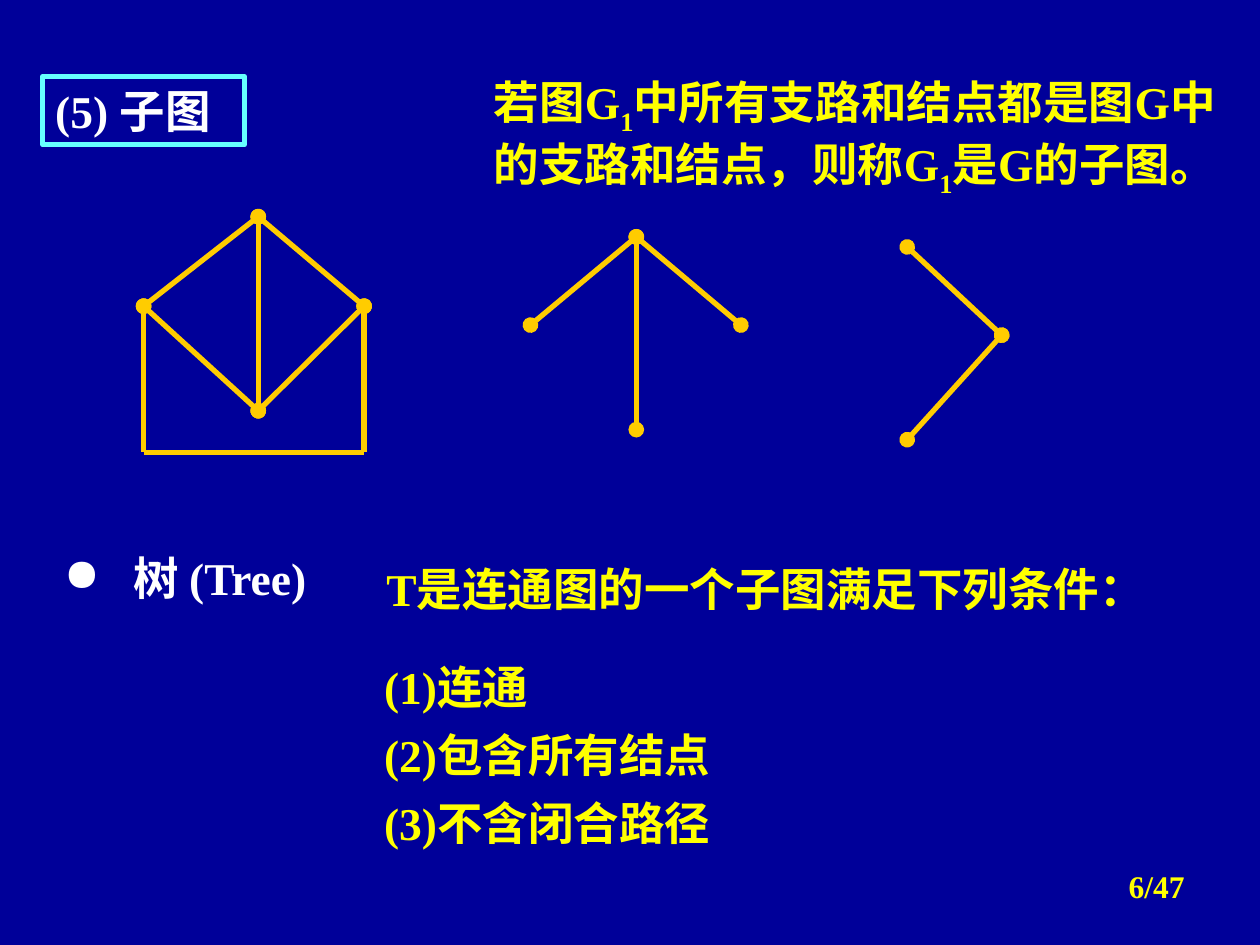
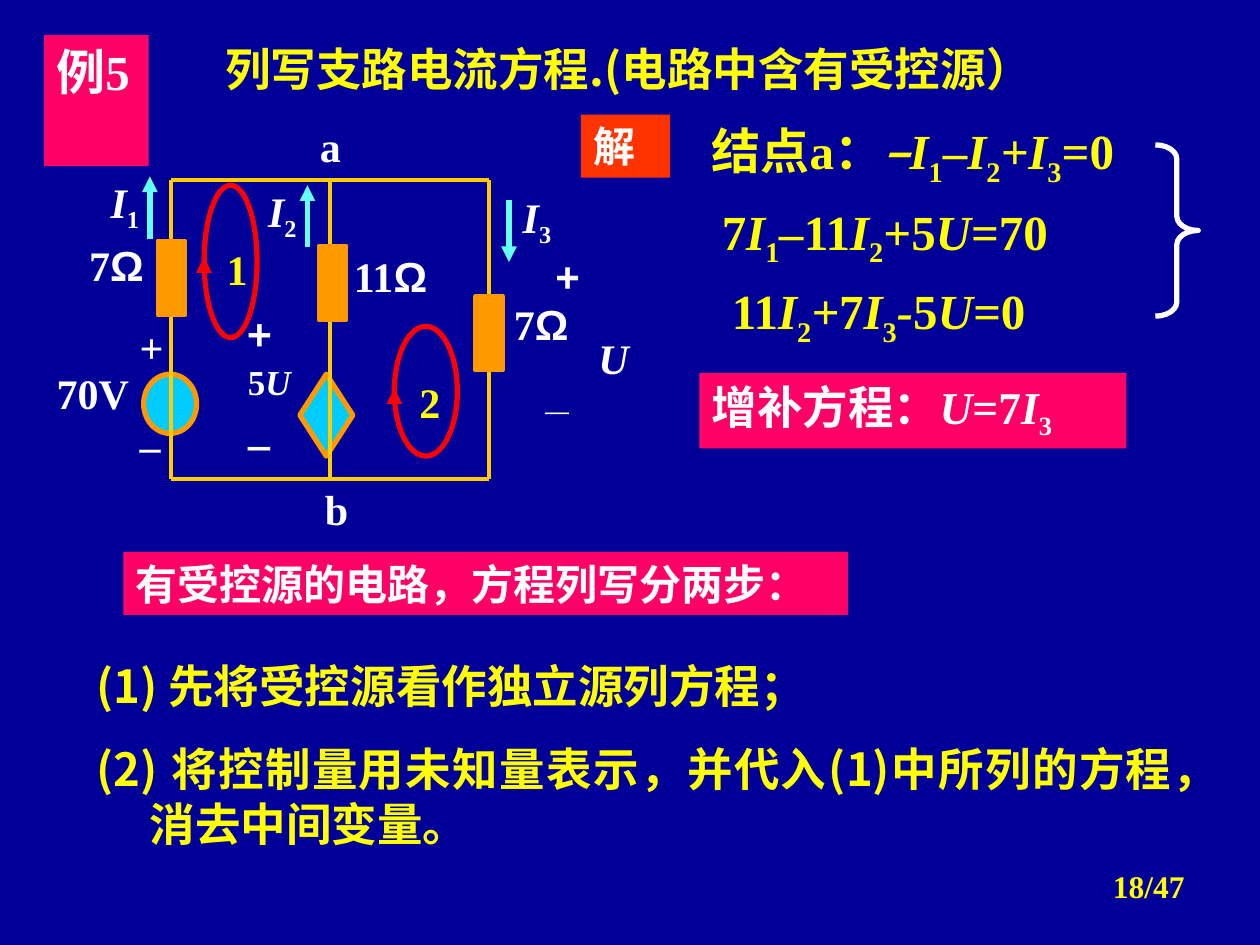
from lxml import etree
from pptx import Presentation
from pptx import util as u
from pptx.dml.color import RGBColor
from pptx.enum import shapes, text
from pptx.oxml import ns

hue = RGBColor.from_string
BACK, YELLOW, WHITE, CYAN = "000099", "FFFF00", "FFFFFF", "66FFFF"
PINK, GOLD, ORANGE, RED, SKY = "FF0066", "FFCC00", "FF9900", "FF0000", "00CCFF"
SERIF, SANS, ARIAL = "Times New Roman", "Noto Sans CJK SC", "Arial"
Kind = shapes.MSO_SHAPE


def say(slide, box, lines, size=26, color=YELLOW, face=SERIF, fill=None, edge=None):
    """Write lines; | parts runs, led by ~ italic, ^ subscript or @ Arial."""
    place = [u.Inches(n) for n in box]
    if fill or edge:
        shape = slide.shapes.add_shape(Kind.RECTANGLE, *place)
        shape.shadow.inherit = False
        if fill:
            shape.fill.solid()
            shape.fill.fore_color.rgb = hue(fill)
            shape.line.fill.background()
        else:
            shape.fill.background()
            shape.line.color.rgb = hue(edge)
            shape.line.width = u.Pt(3)
    else:
        shape = slide.shapes.add_textbox(*place)
    frame = shape.text_frame
    frame.word_wrap = True
    frame.vertical_anchor = text.MSO_ANCHOR.TOP
    for i, line in enumerate(lines.split("\n")):
        para = frame.add_paragraph() if i else frame.paragraphs[0]
        para.alignment = text.PP_ALIGN.LEFT
        font = para.font
        font.size, font.bold, font.name = u.Pt(size), True, face
        font.color.rgb = hue(color)
        etree.SubElement(font._element, ns.qn("a:ea"), typeface=SANS)
        for part in line.split("|"):
            mark = part[0] if part[0] in "~^@" else ""
            run = para.add_run()
            run.text = part[len(mark):]
            if mark == "~":
                run.font.italic = True
            elif mark == "^":
                run.font._element.set("baseline", "-25000")
            elif mark == "@":
                run.font.name = ARIAL
    return frame.paragraphs


def wire(slide, start, end, color=GOLD, width=3, head=None, tail=None):
    """Draw a straight line with optional end marks."""
    ends = [u.Inches(n) for n in (*start, *end)]
    line = slide.shapes.add_connector(shapes.MSO_CONNECTOR.STRAIGHT, *ends)
    line.line.color.rgb = hue(color)
    line.line.width = u.Pt(width)
    for tag, mark in (("a:headEnd", head), ("a:tailEnd", tail)):
        if mark:
            etree.SubElement(line.line._ln, ns.qn(tag), type=mark)
    etree.SubElement(line._element.spPr, ns.qn("a:effectLst"))


deck = Presentation()
deck.slide_width, deck.slide_height = u.Inches(10), u.Inches(7.5)

# Shared background and page number
pages = []
for number in (6, 18):
    page = deck.slides.add_slide(deck.slide_layouts[6])
    page.background.fill.solid()
    page.background.fill.fore_color.rgb = hue(BACK)
    para, = say(page, (7.17, 6.83, 2.33, 0.52), f"{number}/47", 18)
    para.alignment = text.PP_ALIGN.RIGHT
    pages.append(page)
tree, loop = pages

# Subgraph heading
say(tree, (0.34, 0.61, 1.6, 0.54), "(5) 子图", color=WHITE, edge=CYAN)

# Graph and two subgraphs: points, edges, corners without a dot
graphs = [
    ({"top": (2.05, 1.72), "left": (1.14, 2.43), "low": (2.05, 3.26),
      "right": (2.89, 2.43), "sw": (1.14, 3.59), "se": (2.89, 3.59)},
     ["top left", "top low", "left low", "top right", "right low",
      "left sw", "sw se", "right se"]),
    ({"top": (5.05, 1.88), "left": (4.21, 2.58), "low": (5.05, 3.41),
      "right": (5.88, 2.58)},
     ["top low", "top left", "top right"]),
    ({"top": (7.2, 1.96), "right": (7.95, 2.66), "low": (7.2, 3.49)},
     ["top right", "right low"]),
]
for points, edges in graphs:
    for edge in edges:
        one, two = edge.split()
        dots = [None if name in ("sw", "se") else "oval" for name in (one, two)]
        wire(tree, points[one], points[two], head=dots[0], tail=dots[1])

# Definitions
say(tree, (3.82, 0.54, 6.18, 1.52),
    "若图G|^1|中所有支路和结点都是图G中的支路和结点，则称G|^1|是G的子图。")
para, = say(tree, (0.38, 4.32, 2.34, 0.54), "树 (Tree)", color=WHITE)
props = para._p.get_or_add_pPr()
props.set("marL", str(u.Inches(0.58)))
props.set("indent", str(-u.Inches(0.55)))
bullet = etree.Element(ns.qn("a:buChar"), char="●")
props.insert(0, bullet)
para, = say(tree, (2.87, 4.4, 6.42, 0.54), "T是连通图的一个子图满足下列条件：")
para.alignment = text.PP_ALIGN.CENTER
for para in say(tree, (2.95, 5.07, 4.73, 1.73), "(1)连通\n(2)包含所有结点\n(3)不含闭合路径"):
    para.line_spacing = 1.25

# Example title and solution
say(loop, (0.35, 0.28, 0.83, 1.04), "例5", 28, WHITE, fill=PINK)
say(loop, (1.69, 0.28, 7.24, 0.54), "列写支路电流方程.(电路中含有受控源）", face=SANS)
say(loop, (4.61, 0.91, 0.71, 0.5), "解", 24, WHITE, fill="FF3300")
say(loop, (5.55, 0.91, 3.92, 0.63), "结点a：|~–I|^1|–|~I|^2|~+I|^3|=0", 28)
say(loop, (5.63, 1.55, 2.91, 0.63), "7|~I|^1|~–|11|~I|^2|+5|~U|=70", 28)
say(loop, (5.71, 2.18, 3.39, 0.63), "11|~I|^2|~+|7|~I|^3|~-|5|~U=|0", 28)
say(loop, (5.55, 2.96, 3.39, 0.6), "增补方程：|~U|=7|~I|^3", color=WHITE, fill=PINK)

# Brace, sources and loops under the wires
for kind, box, fill, edge in (
    (Kind.RIGHT_BRACE, (9.17, 1.15, 0.34, 1.36), None, WHITE),
    (Kind.DIAMOND, (2.38, 2.97, 0.42, 0.65), SKY, ORANGE),
    (Kind.OVAL, (1.14, 2.97, 0.42, 0.47), SKY, ORANGE),
    (Kind.OVAL, (1.62, 1.47, 0.42, 1.21), None, RED),
    (Kind.OVAL, (3.13, 2.59, 0.5, 1.03), None, RED),
):
    shape = loop.shapes.add_shape(kind, *[u.Inches(n) for n in box])
    shape.shadow.inherit = False
    if fill:
        shape.fill.solid()
        shape.fill.fore_color.rgb = hue(fill)
    else:
        shape.fill.background()
    shape.line.color.rgb = hue(edge)
    shape.line.width = u.Pt(3)
    if kind == Kind.RIGHT_BRACE:
        shape.adjustments[0] = 0.33

# Circuit wires
for x in (1.36, 2.62, 3.88):
    wire(loop, (x, 1.43), (x, 3.8), width=2.25)
for y in (1.43, 3.8):
    wire(loop, (1.36, y), (3.88, y), width=2.25)

# Resistors
for x, y in ((1.25, 1.91), (2.53, 1.95), (3.77, 2.35)):
    part = loop.shapes.add_shape(Kind.RECTANGLE, u.Inches(x), u.Inches(y),
                                 u.Inches(0.22), u.Inches(0.59))
    part.shadow.inherit = False
    part.fill.solid()
    part.fill.fore_color.rgb = hue(ORANGE)
    part.line.color.rgb = hue(ORANGE)
    part.line.width = u.Pt(2.25)

# Current and loop arrows
for x, y, end, color in ((1.19, 1.9, 1.4, CYAN), (2.44, 1.96, 1.47, CYAN),
                         (4.04, 1.59, 2.08, CYAN), (1.62, 2.11, 2.04, RED),
                         (3.13, 3.13, 3.08, RED)):
    wire(loop, (x, y), (x, end), color, tail="triangle")

# Circuit labels
for x, y, wide, label, color, face in (
    (2.44, 0.91, 0.38, "a", WHITE, SERIF),
    (2.48, 3.79, 0.38, "b", WHITE, SERIF),
    (1.7, 1.88, 0.29, "1", YELLOW, SERIF),
    (3.23, 2.94, 0.35, "2", YELLOW, SERIF),
    (0.35, 2.87, 1.01, "70V", WHITE, SERIF),
    (1.01, 2.5, 0.4, "+", WHITE, SERIF),
    (1.01, 3.28, 0.4, "–", WHITE, SERIF),
    (0.78, 1.35, 0.52, "~I|^1", WHITE, SERIF),
    (2.03, 1.42, 0.52, "~I|^2", WHITE, SERIF),
    (4.05, 1.47, 0.69, "~I|^3", WHITE, SERIF),
    (0.61, 1.85, 0.69, "7|@Ω", WHITE, SERIF),
    (2.71, 1.94, 1.01, "11|@Ω", WHITE, SERIF),
    (3.98, 2.32, 0.69, "7|@Ω", WHITE, SERIF),
    (4.31, 1.94, 0.59, "+", WHITE, ARIAL),
    (4.65, 2.59, 0.59, "~U", WHITE, SERIF),
    (4.23, 2.87, 0.59, "_", WHITE, ARIAL),
):
    say(loop, (x, y, wide, 0.5), label, 24, color, face)
paras = say(loop, (1.87, 2.41, 0.67, 1.24), "+\n5|~U\n_", 24, WHITE, SANS)
paras[1].font.size, paras[1].font.name = u.Pt(20), SERIF

# Two steps
say(loop, (0.98, 4.38, 5.75, 0.5), "有受控源的电路，方程列写分两步：", 24, WHITE, fill=PINK)
steps = say(loop, (0.67, 5.09, 8.74, 1.71),
            "(1) 先将受控源看作独立源列方程；\n"
            "(2) 将控制量用未知量表示，并代入(1)中所列的方程，消去中间变量。", face=SANS)
for para in steps:
    para.alignment = text.PP_ALIGN.JUSTIFY
    props = para._p.get_or_add_pPr()
    props.set("marL", str(u.Inches(0.42)))
    props.set("indent", str(-u.Inches(0.42)))
steps[0].line_spacing = 1.2
steps[1].space_before = u.Pt(16.2)

deck.save("out.pptx")
